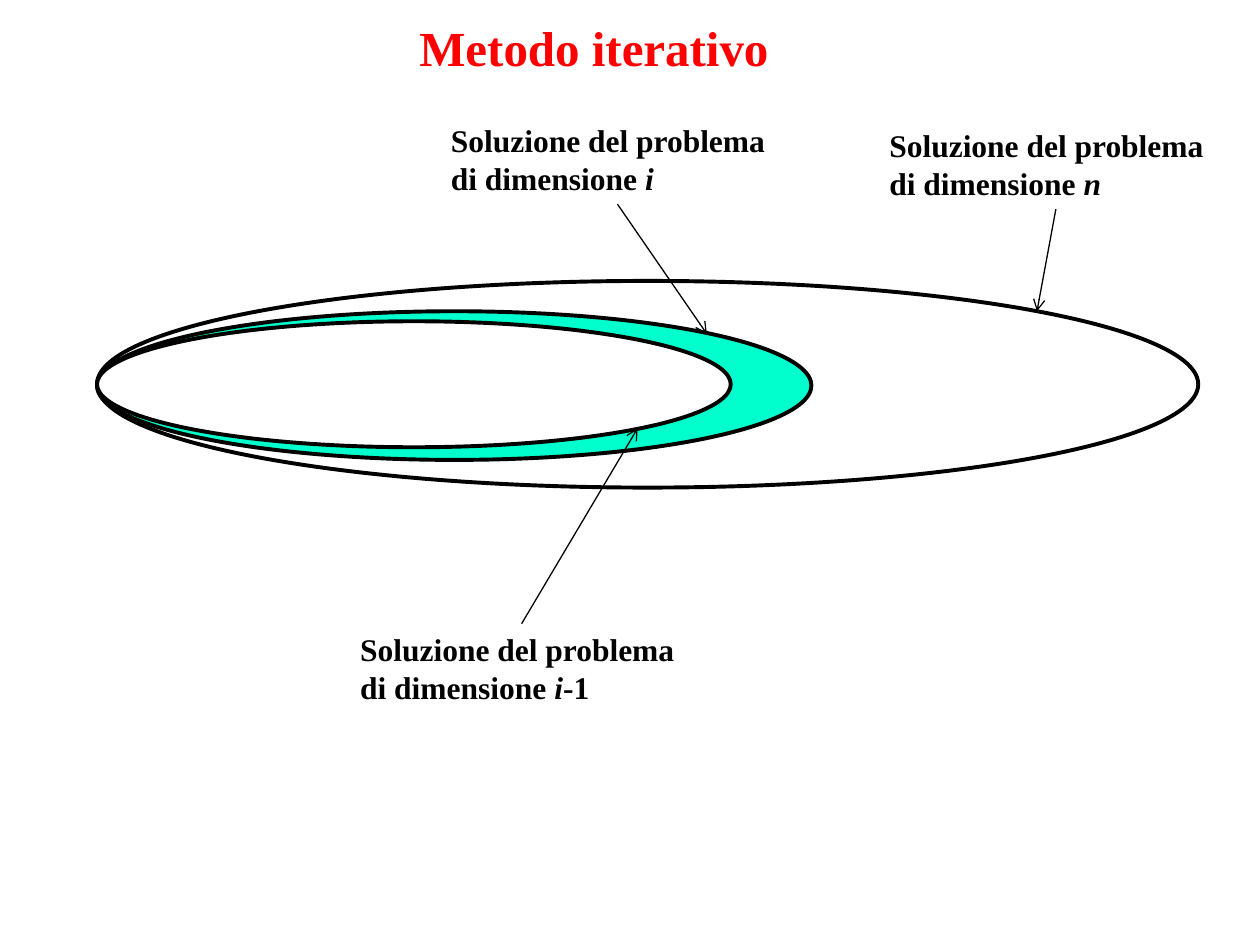
from dataclasses import dataclass
from typing import Optional

from lxml.etree import SubElement
from pptx import Presentation
from pptx.dml.color import RGBColor
from pptx.enum.shapes import MSO_CONNECTOR, MSO_SHAPE
from pptx.enum.text import MSO_AUTO_SIZE
from pptx.oxml.ns import qn
from pptx.util import Inches, Pt

COLS, ROWS = 100, 75
BLACK, WHITE, RED, AQUA = "000000", "FFFFFF", "FF0000", "00FFCC"
TOP, BOTTOM = 0, 2
LEFT_TIP = 7.7

prs = Presentation()
prs.slide_width, prs.slide_height = Inches(10), Inches(7.5)
s = prs.slides.add_slide(prs.slide_layouts[6])


@dataclass
class Oval:
    row: float
    cols: float
    rows: float
    fill: Optional[str]


@dataclass
class Label:
    col: float
    row: float
    cols: float
    symbol: str
    suffix: str
    side: int
    tip: tuple[float, float]


def x(cols: float) -> int:
    return round(prs.slide_width * cols / COLS)


def y(rows: float) -> int:
    return round(prs.slide_height * rows / ROWS)


def rgb(color: str) -> RGBColor:
    return RGBColor.from_string(color)


def set_line(sp, width: float) -> None:
    sp.line.color.rgb = rgb(BLACK)
    sp.line.width = Pt(width)


def draw_oval(oval: Oval) -> None:
    sp = s.shapes.add_shape(MSO_SHAPE.OVAL, x(LEFT_TIP), y(oval.row), x(oval.cols), y(oval.rows))
    sp.shadow.inherit = False
    if oval.fill:
        sp.fill.solid()
        sp.fill.fore_color.rgb = rgb(oval.fill)
    else:
        sp.fill.background()
    set_line(sp, 2.25)


def draw_text(col: float, row: float, cols: float, rows: float, runs: list[tuple[str, bool]],
              size: float, color: str, wrap: bool = True):
    sp = s.shapes.add_textbox(x(col), y(row), x(cols), y(rows))
    tf = sp.text_frame
    tf.word_wrap = wrap
    tf.auto_size = MSO_AUTO_SIZE.SHAPE_TO_FIT_TEXT
    p = tf.paragraphs[0]
    for text, italic in runs:
        r = p.add_run()
        r.text = text
        formats = {"name": "Times New Roman", "size": Pt(size), "bold": True, "italic": italic}
        for name, value in formats.items():
            setattr(r.font, name, value)
        r.font.color.rgb = rgb(color)
    return sp


def draw_label(label: Label) -> None:
    runs = [("Soluzione del problema di dimensione ", False), (label.symbol, True)]
    if label.suffix:
        runs.append((label.suffix, False))
    sp = draw_text(label.col, label.row, label.cols, 7.1, runs, 18, BLACK)
    tip_col, tip_row = label.tip
    arrow = s.shapes.add_connector(MSO_CONNECTOR.STRAIGHT, 0, 0, x(tip_col), y(tip_row))
    arrow.begin_connect(sp, label.side)
    set_line(arrow, 0.75)
    SubElement(arrow.line._get_or_add_ln(), qn("a:tailEnd"), type="arrow")
    SubElement(arrow._element.spPr, qn("a:effectLst"))


OVALS = [
    Oval(22.3, 87.4, 16.4, None),
    Oval(24.7, 56.7, 11.8, AQUA),
    Oval(25.5, 50.3, 10, WHITE),
]
LABELS = [
    Label(69.6, 9.5, 28.4, "n", "", BOTTOM, (82.3, 24.7)),
    Label(34.8, 9.1, 28.4, "i", "", BOTTOM, (56.1, 26.5)),
    Label(27.6, 49.5, 27.6, "i", "-1", TOP, (50.6, 34)),
]

draw_text(32.3, 0.9, 30, 5.7, [("Metodo iterativo", False)], 28, RED, wrap=False)
for oval in OVALS:
    draw_oval(oval)
for label in LABELS:
    draw_label(label)

prs.save("out.pptx")
